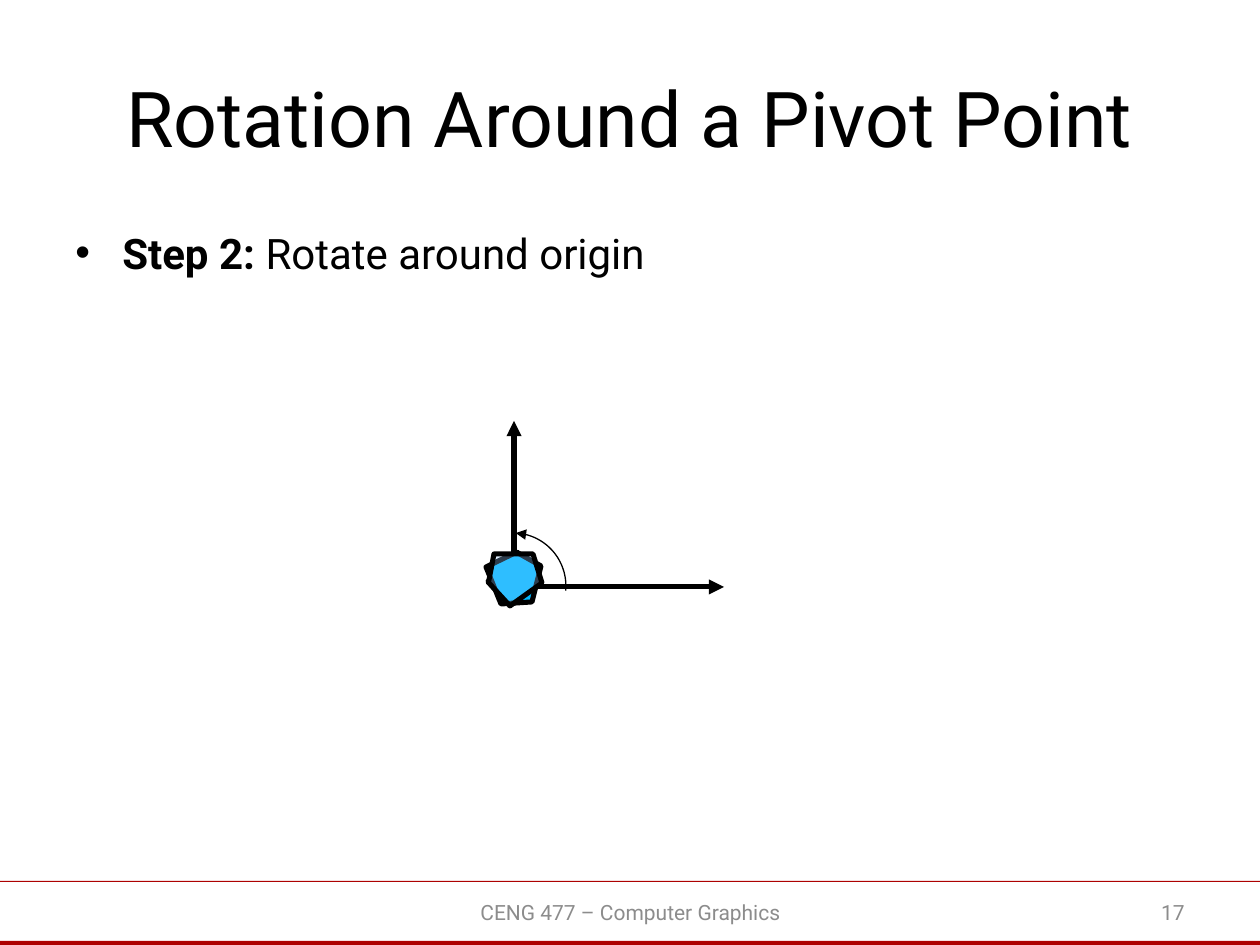
from math import cos, radians, sin

from lxml.etree import SubElement
from pptx import Presentation
from pptx.dml.color import RGBColor
from pptx.enum.shapes import MSO_SHAPE as Preset
from pptx.enum.text import MSO_ANCHOR as Anchor, PP_ALIGN as Align
from pptx.oxml.ns import qn
from pptx.util import Emu, Pt

PX = 914400 / 126
FONT = "Roboto"
COLORS = {"text": "000000", "footer": "8C8C8C", "rule": "AD0101",
          "shape": "00B8FF", "rotated": "99CCFF"}

RULES = [(0, 881, 1260, 1), (0, 941, 1260, 4)]
TEXTS = [
    ((63, 38, 1134, 158), [("Rotation Around a Pivot Point", False)],
     44, "text", Align.CENTER, Anchor.MIDDLE),
    ((63, 221, 1134, 624), [("Step 2: ", True), ("Rotate around origin", False)],
     24, "text", Align.LEFT, Anchor.TOP),
    ((431, 887, 399, 50), [("CENG 477 – Computer Graphics", False)],
     12, "footer", Align.CENTER, Anchor.MIDDLE),
    ((903, 887, 294, 50), [("17", False)],
     12, "footer", Align.RIGHT, Anchor.MIDDLE),
]
BULLET_INDENT = 47

AXES = [(514, 421), (514, 587), (724, 587)]
SHAPE = [(517, 552), (486, 567), (501, 604), (532, 602), (541, 566), (518, 553)]
ROTATED = [(488, 582), (510, 606), (542, 583), (533, 554), (494, 554), (489, 580)]
ARC_CENTER, ARC_RADIUS, ARC_START, ARC_END, ARC_STEPS = (513, 586), 53, -5, 87, 32


def emu(length):
    return Emu(round(length * PX))


def color(name):
    return RGBColor.from_string(COLORS[name])


def add_text(slide, box, runs, size, color_name, align, anchor):
    frame = slide.shapes.add_textbox(*map(emu, box)).text_frame
    frame.word_wrap = True
    frame.vertical_anchor = anchor
    paragraph = frame.paragraphs[0]
    paragraph.alignment = align
    for text, bold in runs:
        run = paragraph.add_run()
        run.text = text
        run.font.name = FONT
        run.font.size = Pt(size)
        run.font.bold = bold
        run.font.color.rgb = color(color_name)
    return paragraph


def add_bullet(paragraph):
    properties = paragraph._p.get_or_add_pPr()
    properties.set("marL", str(emu(BULLET_INDENT)))
    properties.set("indent", str(-emu(BULLET_INDENT)))
    SubElement(properties, qn("a:buFont"), typeface="Arial")
    SubElement(properties, qn("a:buChar"), char="•")


def add_outline(slide, points, width, fill=None, opacity=None, arrows=()):
    first, *rest = [(emu(x), emu(y)) for x, y in points]
    builder = slide.shapes.build_freeform(*first)
    builder.add_line_segments(rest, close=fill is not None)
    shape = builder.convert_to_shape()
    shape.shadow.inherit = False
    if fill:
        shape.fill.solid()
        shape.fill.fore_color.rgb = color(fill)
    else:
        shape.fill.background()
    if opacity:
        fill_color = shape._element.spPr.find(f"{qn('a:solidFill')}/{qn('a:srgbClr')}")
        SubElement(fill_color, qn("a:alpha"), val=str(opacity * 1000))
    shape.line.width = Pt(width)
    shape.line.color.rgb = color("text")
    line = shape.line._get_or_add_ln()
    for end in arrows:
        SubElement(line, qn(f"a:{end}"), type="triangle")


def arc_points():
    center_x, center_y = ARC_CENTER
    for step in range(ARC_STEPS + 1):
        angle = radians(ARC_START + (ARC_END - ARC_START) * step / ARC_STEPS)
        yield center_x + ARC_RADIUS * cos(angle), center_y - ARC_RADIUS * sin(angle)


def main():
    presentation = Presentation()
    presentation.slide_width, presentation.slide_height = emu(1260), emu(945)
    slide = presentation.slides.add_slide(presentation.slide_layouts[6])

    for box in RULES:
        rule = slide.shapes.add_shape(Preset.RECTANGLE, *map(emu, box))
        rule.shadow.inherit = False
        rule.fill.solid()
        rule.fill.fore_color.rgb = color("rule")
        rule.line.fill.background()

    title, body, footer, number = [add_text(slide, *text) for text in TEXTS]
    add_bullet(body)

    add_outline(slide, AXES, 2.89, arrows=("headEnd", "tailEnd"))
    add_outline(slide, SHAPE, 2.89, fill="shape")
    add_outline(slide, ROTATED, 2.89, fill="rotated", opacity=30)
    add_outline(slide, arc_points(), 0.75, arrows=("tailEnd",))

    presentation.save("out.pptx")


if __name__ == "__main__":
    main()
